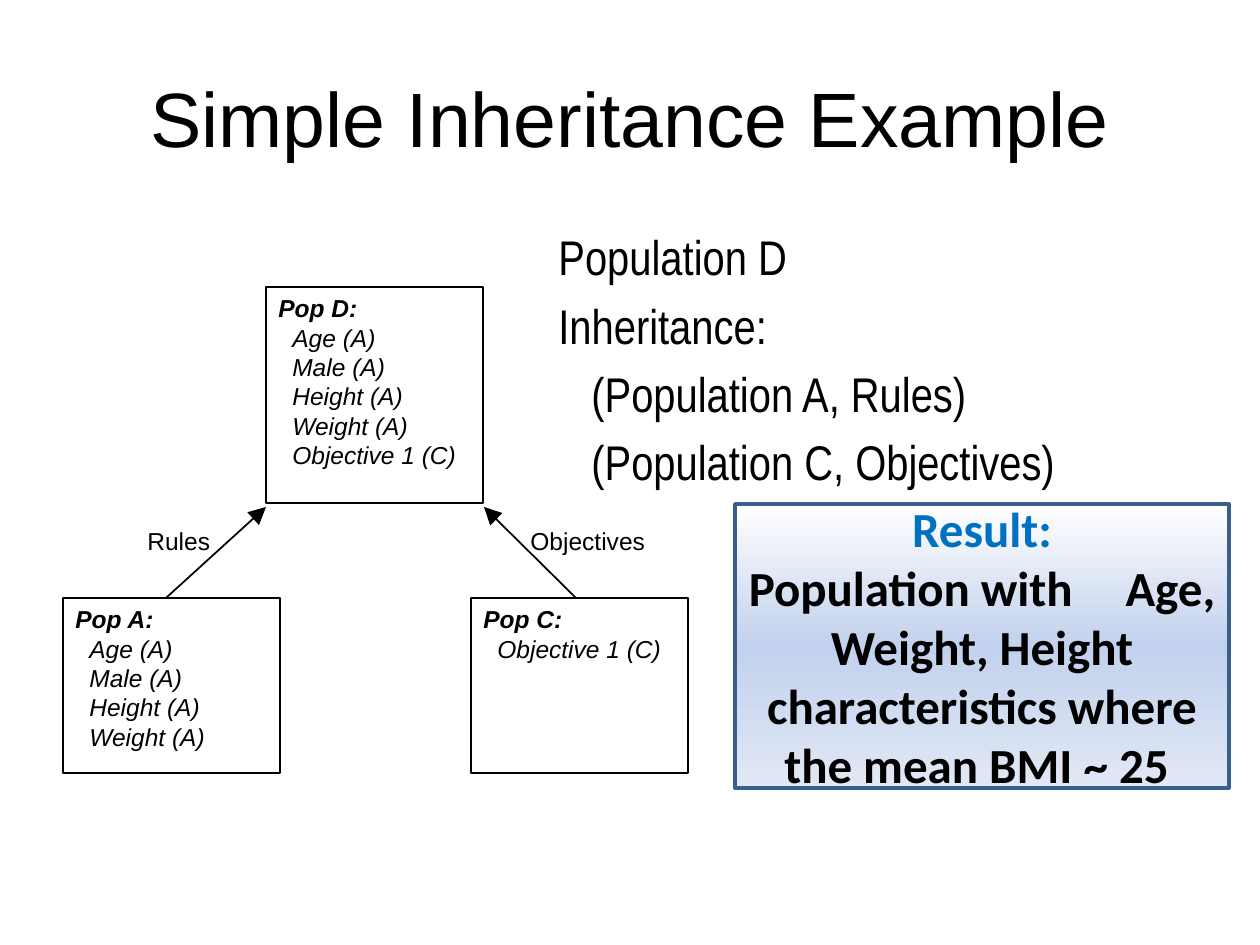
"""Build the slide that shows a simple population inheritance example."""
from lxml.etree import SubElement
from pptx import Presentation
from pptx.dml.color import RGBColor
from pptx.enum.shapes import MSO_CONNECTOR as Link, MSO_SHAPE as Preset
from pptx.enum.text import MSO_ANCHOR as Anchor, PP_ALIGN as Align
from pptx.oxml import parse_xml
from pptx.oxml.ns import nsdecls, qn
from pptx.util import Pt

PX = 914400 / 126
COLORS = {
    "ink": "000000", "paper": "FFFFFF", "heading": "0070C0", "frame": "3A5F8C",
    "glow_top": "FFFFFF", "glow_middle": "C2D1ED", "glow_bottom": "E1E8F5",
}
POP_WIDTH = 217
ITEM_INDENT = 14
TRAITS = ["Age (A)", "Male (A)", "Height (A)", "Weight (A)"]
OBJECTIVE = "Objective 1 (C)"
POPULATIONS = [
    ("Pop D:", TRAITS + [OBJECTIVE], 266, 287, 216),
    ("Pop A:", TRAITS, 63, 598, 175),
    ("Pop C:", [OBJECTIVE], 471, 598, 175),
]
INHERITED = [
    ("Population D", 63), ("Inheritance:", 63),
    ("(Population A, Rules)", 96), ("(Population C, Objectives)", 96),
]


def emu(*lengths):
    return [round(length * PX) for length in lengths]


def rgb(name):
    return RGBColor.from_string(COLORS[name])


def add_run(paragraph, text, size, font="Arial", color="ink", bold=False, italic=False):
    run = paragraph.add_run()
    run.text = text
    run.font.size = Pt(size)
    run.font.name = font
    run.font.bold = bold
    run.font.italic = italic
    run.font.color.rgb = rgb(color)
    return run


def indent(paragraph, length):
    paragraph._p.get_or_add_pPr().set("marL", str(*emu(length)))


def add_text_frame(slide, *box):
    frame = slide.shapes.add_textbox(*emu(*box)).text_frame
    frame.word_wrap = True
    return frame


def add_label(slide, text, *box):
    add_run(add_text_frame(slide, *box).paragraphs[0], text, 14)


def add_title(slide, text):
    frame = add_text_frame(slide, 63, 38, 1134, 157)
    frame.vertical_anchor = Anchor.MIDDLE
    frame.paragraphs[0].alignment = Align.CENTER
    add_run(frame.paragraphs[0], text, 44)


def add_inheritance(slide):
    frame = add_text_frame(slide, 483, 221, 714, 624)
    for number, (text, left) in enumerate(INHERITED):
        line = frame.add_paragraph() if number else frame.paragraphs[0]
        line.space_before = Pt(5.6)
        indent(line, left)
        add_run(line, text, 27.8, "Arial Narrow")


def add_box(slide, box, line_color, line_width, anchor):
    rectangle = slide.shapes.add_shape(Preset.RECTANGLE, *emu(*box))
    rectangle.shadow.inherit = False
    rectangle.line.color.rgb = rgb(line_color)
    rectangle.line.width = Pt(line_width)
    rectangle.text_frame.word_wrap = True
    rectangle.text_frame.vertical_anchor = anchor
    return rectangle


def add_population(slide, name, items, left, top, height):
    population = add_box(slide, (left, top, POP_WIDTH, height), "ink", 0.75, Anchor.TOP)
    population.fill.solid()
    population.fill.fore_color.rgb = rgb("paper")
    frame = population.text_frame
    heading = frame.paragraphs[0]
    heading.alignment = Align.LEFT
    add_run(heading, name, 14, bold=True, italic=True)
    for item in items:
        line = frame.add_paragraph()
        line.alignment = Align.LEFT
        indent(line, ITEM_INDENT)
        add_run(line, item, 14, italic=True)


def add_arrow(slide, *ends):
    arrow = slide.shapes.add_connector(Link.STRAIGHT, *emu(*ends))
    arrow.line.color.rgb = rgb("ink")
    arrow.line.width = Pt(1)
    SubElement(arrow.line._get_or_add_ln(), qn("a:tailEnd"), type="triangle", w="lg", len="lg")
    SubElement(arrow._element.spPr, qn("a:effectLst"))


def fill_with_glow(shape):
    stops = "".join(
        f'<a:gs pos="{position}"><a:srgbClr val="{COLORS[name]}"/></a:gs>'
        for position, name in [(0, "glow_top"), (50000, "glow_middle"), (100000, "glow_bottom")]
    )
    gradient = parse_xml(
        f'<a:gradFill {nsdecls("a")} rotWithShape="1"><a:gsLst>{stops}</a:gsLst>'
        '<a:lin ang="5400000" scaled="0"/></a:gradFill>'
    )
    shape._element.spPr.find(qn("a:prstGeom")).addnext(gradient)


def add_result(slide):
    result = add_box(slide, (735, 504, 494, 284), "frame", 2, Anchor.MIDDLE)
    fill_with_glow(result)
    heading = result.text_frame.paragraphs[0]
    finding = result.text_frame.add_paragraph()
    heading.alignment = finding.alignment = Align.CENTER
    add_run(heading, "Result:", 28, "Calibri", "heading", bold=True)
    add_run(finding, "Population with", 28, "Calibri", bold=True)
    gap = add_run(finding, " ", 28, "Calibri", bold=True)
    gap.font._element.set("spc", "2400")
    add_run(finding, "Age, Weight, Height characteristics where the mean BMI ~ 25 ",
            28, "Calibri", bold=True)


def main():
    deck = Presentation()
    deck.slide_width, deck.slide_height = emu(1260, 945)
    slide = deck.slides.add_slide(deck.slide_layouts[6])
    add_title(slide, "Simple Inheritance Example")
    add_inheritance(slide)
    for population in POPULATIONS:
        add_population(slide, *population)
    add_arrow(slide, 166, 598, 266, 507)
    add_arrow(slide, 576, 598, 484, 507)
    add_label(slide, "Rules", 135, 520, 98, 49)
    add_label(slide, "Objectives", 518, 520, 156, 49)
    add_result(slide)
    deck.save("out.pptx")


if __name__ == "__main__":
    main()
